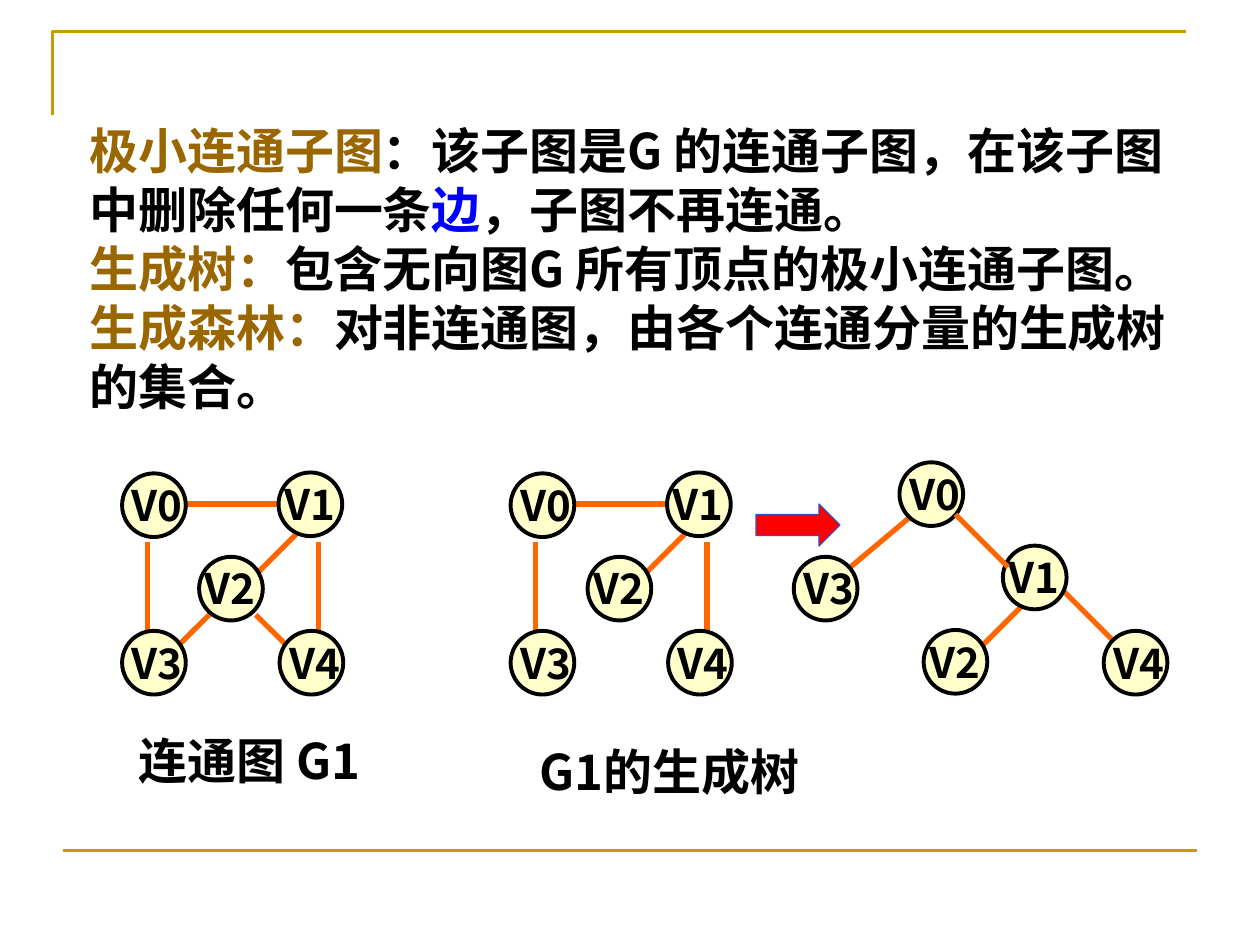
from lxml.etree import SubElement
from pptx import Presentation
from pptx.dml.color import RGBColor
from pptx.enum.shapes import MSO_CONNECTOR, MSO_SHAPE
from pptx.enum.text import PP_ALIGN
from pptx.oxml.ns import qn
from pptx.util import Pt

THEME = {
    "frame": RGBColor.from_string("CC9900"),
    "edge": RGBColor.from_string("FF6600"),
    "node": RGBColor.from_string("FFFFCC"),
    "ink": RGBColor.from_string("000000"),
    "term": RGBColor.from_string("996600"),
    "accent": RGBColor.from_string("0000FF"),
    "arrow": RGBColor.from_string("FF0000"),
    "arrow_line": RGBColor.from_string("3E4DBA"),
    "font": "Noto Sans CJK SC",
    "term_font": "DejaVu Sans",
    "body": {"size": Pt(28), "bold": True},
    "label": {"size": Pt(24), "bold": True},
}


def add_text(shapes, box, runs, style, align=PP_ALIGN.LEFT, inset=7.2):
    frame = shapes.add_textbox(*map(Pt, box)).text_frame
    settings = {"word_wrap": True, "margin_left": Pt(inset), "margin_right": Pt(7.2),
                "margin_top": Pt(3.6), "margin_bottom": Pt(3.6)}
    for key, value in settings.items():
        setattr(frame, key, value)
    paragraph = frame.paragraphs[0]
    paragraph.alignment = align
    for words, color in runs:
        if words == "\n":
            paragraph.add_line_break()
            continue
        run = paragraph.add_run()
        run.text = words
        for key, value in THEME[style].items():
            setattr(run.font, key, value)
        run.font.color.rgb = THEME[color]
        run.font.name = THEME["term_font" if color == "term" else "font"]
        SubElement(run.font._element, qn("a:ea")).set("typeface", THEME["font"])


def add_line(shapes, ends, color, width):
    line = shapes.add_connector(MSO_CONNECTOR.STRAIGHT, *map(Pt, ends))
    line.line.color.rgb = THEME[color]
    line.line.width = Pt(width)
    SubElement(line._element.spPr, qn("a:effectLst"))


prs = Presentation()
prs.slide_width, prs.slide_height = Pt(720), Pt(540)
slide = prs.slides.add_slide(prs.slide_layouts[6])

corner_path = slide.shapes.build_freeform(Pt(30), Pt(66), scale=1.0)
corner_path.add_line_segments([(Pt(30), Pt(18)), (Pt(678), Pt(18))], close=False)
corner = corner_path.convert_to_shape()
corner.shadow.inherit = False
corner.fill.background()
corner.line.color.rgb = THEME["frame"]
corner.line.width = Pt(1.5)
add_line(slide.shapes, (36, 486, 684, 486), "frame", 1.5)

definitions = [
    ("极小连通子图", "term"),
    ("：该子图是G 的连通子图，在该子图中删除任何一条", "ink"),
    ("边", "accent"),
    ("，子图不再连通。", "ink"),
    ("\n", "ink"),
    ("生成树：", "term"),
    ("包含无向图G 所有顶点的极小连通子图。", "ink"),
    ("生成森林：", "term"),
    ("对非连通图，由各个连通分量的生成树的集合。", "ink"),
]
add_text(slide.shapes, (44, 65.5, 652, 175.7), definitions, "body")
for caption, left, top in [("连通图 G1", 54, 414), ("G1的生成树", 294, 420)]:
    add_text(slide.shapes, (left, top, 177, 41), [(caption, "ink")], "body", PP_ALIGN.CENTER)

graph_nodes = {"V0": (69.8, 270.5), "V4": (159.8, 360.5), "V3": (69.8, 360.5),
               "V1": (159.2, 270), "V2": (113.8, 318.2)}
spanning_edges = [(84.2, 309.6, 84.2, 361.4), (105.2, 288, 165, 288),
                  (182, 309.6, 182, 361.4), (169.2, 305.3, 147.6, 326.9)]
cycle_edges = [(122.4, 348.5, 100.8, 370), (146.2, 351.4, 165, 370)]
tree_nodes = {"V0": (514, 264.2), "V4": (630.7, 360.5), "V3": (453.6, 318.2),
              "V1": (573.1, 311.8), "V2": (527.8, 360)}
tree_edges = [(522, 293.8, 486, 324), (606.2, 336.2, 635.8, 365.8),
              (583.2, 347, 561.6, 368.6)]
root_edge = (546, 294, 576, 324)

diagrams = [
    (222, graph_nodes, spanning_edges, []),
    (0, graph_nodes, spanning_edges + cycle_edges, []),
    (0, tree_nodes, tree_edges, [root_edge]),
]
for shift, nodes, edges_behind, edges_in_front in diagrams:
    diagram = slide.shapes.add_group_shape().shapes
    for x1, y1, x2, y2 in edges_behind:
        add_line(diagram, (x1 + shift, y1, x2 + shift, y2), "edge", 3)
    for vertex, (left, top) in nodes.items():
        circle = diagram.add_shape(MSO_SHAPE.OVAL, Pt(left + shift), Pt(top), Pt(36.4), Pt(36.4))
        circle.shadow.inherit = False
        circle.fill.solid()
        circle.fill.fore_color.rgb = THEME["node"]
        circle.line.color.rgb = THEME["ink"]
        circle.line.width = Pt(2.25)
        label_left = left + shift - (6 if vertex in ("V1", "V2") else 3.6)
        add_text(diagram, (label_left, top, 51, 36), [(vertex, "ink")], "label", inset=9.2)
    for ends in edges_in_front:
        add_line(diagram, ends, "edge", 3)

arrow = slide.shapes.add_shape(MSO_SHAPE.RIGHT_ARROW, Pt(432), Pt(288), Pt(48), Pt(24))
arrow.shadow.inherit = False
arrow.fill.solid()
arrow.fill.fore_color.rgb = THEME["arrow"]
arrow.line.color.rgb = THEME["arrow_line"]
arrow.line.width = Pt(0.75)

prs.save("out.pptx")
